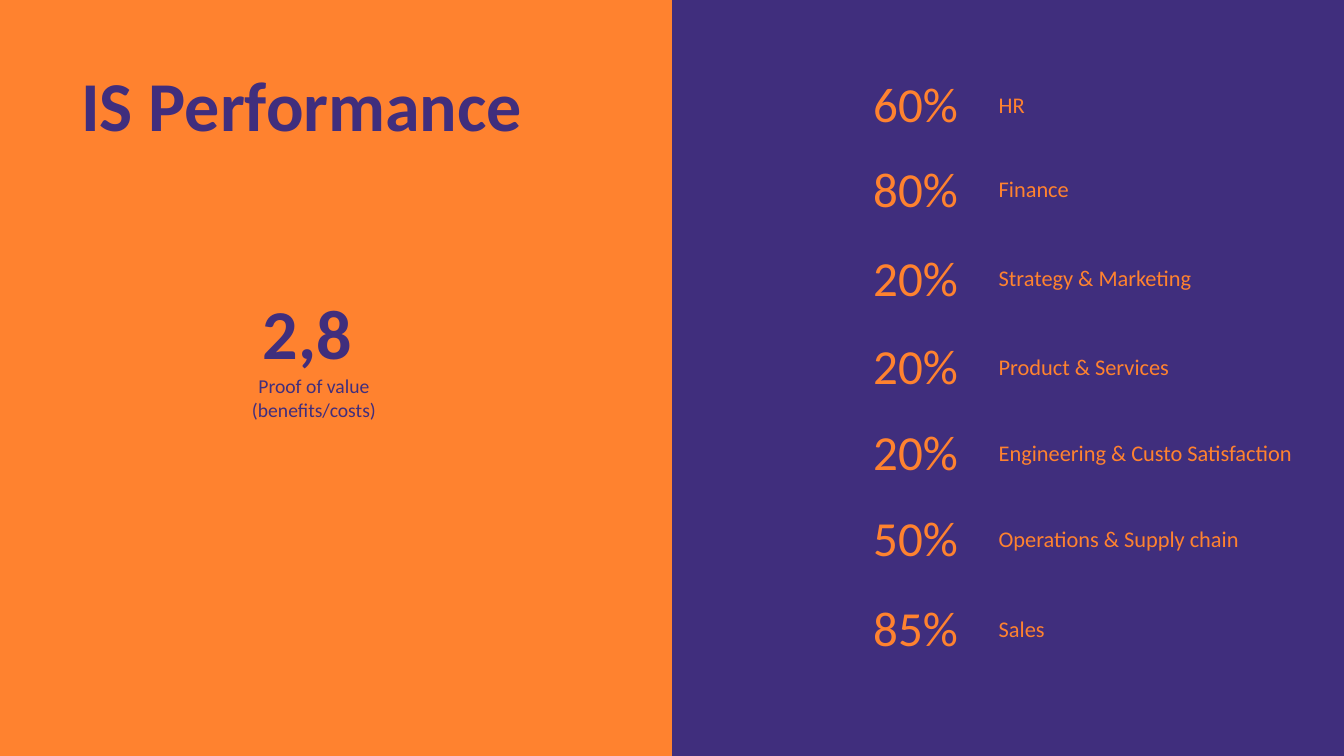
from dataclasses import dataclass

from pptx import Presentation
from pptx import util as u
from pptx.dml import color
from pptx.enum import shapes, text


@dataclass(frozen=True)
class Theme:
    """Colours, font and type sizes of the slide."""
    purple: str = "402E7D"
    orange: str = "FF822F"
    font: str = "Calibri"
    headline: int = 50
    percent: int = 35
    label: int = 16
    caption: int = 14


class Deck:
    """Draws styled elements on the current slide; lengths are centimetres."""

    def __init__(self, prs, theme):
        self.theme = theme
        self.slide = prs.slides.add_slide(prs.slide_layouts[6])

    def panel(self, x, width, height, fill):
        sp = self.slide.shapes.add_shape(
            shapes.MSO_SHAPE.RECTANGLE, u.Cm(x), 0, u.Cm(width), u.Cm(height))
        sp.shadow.inherit = False
        sp.fill.solid()
        sp.fill.fore_color.rgb = color.RGBColor.from_string(fill)
        sp.line.fill.background()

    def text(self, words, x, y, width, height, size, ink, bold=False, centred=False):
        sp = self.slide.shapes.add_textbox(u.Cm(x), u.Cm(y), u.Cm(width), u.Cm(height))
        tf = sp.text_frame
        tf.word_wrap = True
        tf.auto_size = text.MSO_AUTO_SIZE.SHAPE_TO_FIT_TEXT
        p = tf.paragraphs[0]
        p.text = words
        p.alignment = text.PP_ALIGN.CENTER if centred else text.PP_ALIGN.LEFT
        p.font.name = self.theme.font
        p.font.size = u.Pt(size)
        p.font.bold = bold
        p.font.color.rgb = color.RGBColor.from_string(ink)

    def score(self, percent, department, top, label_width):
        t = self.theme
        self.text(department, 24.92, top + 0.44, label_width, 0.94, t.label, t.orange)
        self.text(percent, 21.03, top, 4.09, 1.75, t.percent, t.orange, centred=True)


SCORES = [
    ("60%", "HR", 1.73, 5.13),
    ("80%", "Finance", 3.86, 5.13),
    ("20%", "Strategy & Marketing", 6.1, 6.4),
    ("20%", "Product & Services", 8.33, 5.84),
    ("20%", "Engineering & Custo Satisfaction", 10.49, 8.59),
    ("50%", "Operations & Supply chain", 12.67, 8.59),
    ("85%", "Sales", 14.94, 8.59),
]


def main():
    width, height = 33.87, 19.05
    prs = Presentation()
    prs.slide_width, prs.slide_height = u.Cm(width), u.Cm(height)
    t = Theme()
    s = Deck(prs, t)
    s.panel(width / 2, width / 2, height, t.purple)
    s.panel(0, width / 2, height, t.orange)
    s.text("IS Performance", 1.8, 1.42, 14.45, 2.39, t.headline, t.purple, bold=True)
    for score in SCORES:
        s.score(*score)
    s.text("2,8", 3.99, 7.16, 7.52, 4.52, t.headline, t.purple, bold=True, centred=True)
    s.text("Proof of value (benefits/costs)", 5.82, 9.3, 4.19, 1.45,
           t.caption, t.purple, centred=True)
    prs.save("out.pptx")


if __name__ == "__main__":
    main()
